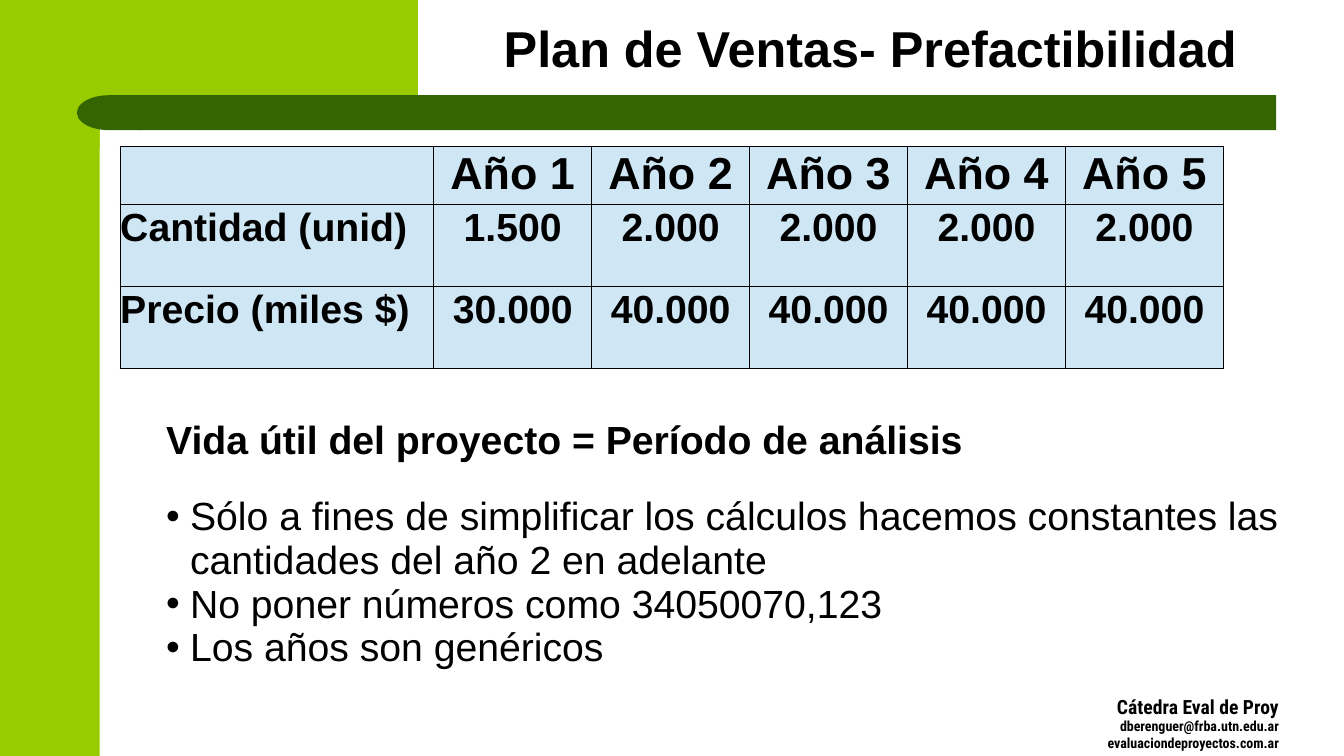
from dataclasses import dataclass
from math import cos, pi, sin

from lxml.etree import SubElement
from pptx import Presentation
from pptx.dml.color import RGBColor
from pptx.enum.shapes import MSO_SHAPE as SHAPE
from pptx.enum.text import MSO_ANCHOR as ANCHOR, PP_ALIGN as ALIGN
from pptx.oxml.ns import qn
from pptx.util import Cm, Pt

LIME = RGBColor(0x99, 0xCC, 0x00)
GREEN = RGBColor(0x33, 0x66, 0x00)
PALE_BLUE = RGBColor(0xCF, 0xE7, 0xF5)
BLACK = RGBColor(0x00, 0x00, 0x00)

SALES_PLAN = [
    ["", "Año 1", "Año 2", "Año 3", "Año 4", "Año 5"],
    ["Cantidad (unid)", "1.500", "2.000", "2.000", "2.000", "2.000"],
    ["Precio (miles $)", "30.000", "40.000", "40.000", "40.000", "40.000"],
]
COL_WIDTHS = [7.9] + [3.98] * 5
ROW_HEIGHTS = [1.46, 2.07, 2.07]


@dataclass
class Line:
    text: str
    size: float
    bold: bool = True
    font: str = "Arial"
    align: ALIGN = ALIGN.LEFT
    spacing: float = 1.0
    bullet: bool = False


@dataclass
class TextBlock:
    left: float
    top: float
    width: float
    height: float
    lines: list[Line]
    inset_top: float = 0.13
    anchor: ANCHOR = ANCHOR.TOP


@dataclass
class Block:
    kind: SHAPE
    left: float
    top: float
    width: float
    height: float
    color: RGBColor


def paint(sp, color: RGBColor) -> None:
    sp.shadow.inherit = False
    sp.fill.solid()
    sp.fill.fore_color.rgb = color
    sp.line.fill.background()


def add_block(slide, block: Block):
    sp = slide.shapes.add_shape(block.kind, Cm(block.left), Cm(block.top),
                                Cm(block.width), Cm(block.height))
    paint(sp, block.color)
    return sp


def add_corner(slide) -> None:
    """Draw the lime header block with its concave lower corner."""
    cx, cy, radius, steps = 3.47, 3.4, 0.96, 16
    angles = [pi / 2 * (1 + i / steps) for i in range(steps + 1)]
    arc = [(cx + radius * cos(a), cy - radius * sin(a)) for a in angles]
    points = [(10.53, 0), (10.53, 2.44), *arc, (2.51, 3.73), (1.5, 3.73)]
    builder = slide.shapes.build_freeform(Cm(1.5), 0)
    builder.add_line_segments([(Cm(x), Cm(y)) for x, y in points], close=True)
    paint(builder.convert_to_shape(), LIME)


def write(p, line: Line) -> None:
    p.alignment = line.align
    p.line_spacing = line.spacing
    if line.bullet:
        pPr = p._p.get_or_add_pPr()
        pPr.set("marL", str(Cm(0.6)))
        pPr.set("indent", str(-Cm(0.6)))
        color = SubElement(pPr, qn("a:buClr"))
        SubElement(color, qn("a:srgbClr")).set("val", str(BLACK))
        SubElement(pPr, qn("a:buFont")).set("typeface", "Arial")
        SubElement(pPr, qn("a:buChar")).set("char", "•")
    r = p.add_run()
    r.text = line.text
    r.font.name = line.font
    r.font.size = Pt(line.size)
    r.font.bold = line.bold
    r.font.color.rgb = BLACK


def add_text(slide, block: TextBlock) -> None:
    box = slide.shapes.add_textbox(Cm(block.left), Cm(block.top),
                                   Cm(block.width), Cm(block.height))
    tf = box.text_frame
    tf.word_wrap = True
    tf.vertical_anchor = block.anchor
    tf.margin_top = Cm(block.inset_top)
    for i, line in enumerate(block.lines):
        write(tf.add_paragraph() if i else tf.paragraphs[0], line)


def add_borders(cell) -> None:
    tcPr = cell._tc.get_or_add_tcPr()
    for side in ("a:lnL", "a:lnR", "a:lnT", "a:lnB"):
        ln = SubElement(tcPr, qn(side), w=str(Pt(1)))
        fill = SubElement(ln, qn("a:solidFill"))
        SubElement(fill, qn("a:srgbClr")).set("val", str(BLACK))


def add_sales_table(slide) -> None:
    frame = slide.shapes.add_table(len(ROW_HEIGHTS), len(COL_WIDTHS), Cm(3.03), Cm(3.69),
                                   Cm(sum(COL_WIDTHS)), Cm(sum(ROW_HEIGHTS)))
    table = frame.table
    table.first_row = table.horz_banding = False
    for column, width in zip(table.columns, COL_WIDTHS):
        column.width = Cm(width)
    for row, height in zip(table.rows, ROW_HEIGHTS):
        row.height = Cm(height)
    for i, values in enumerate(SALES_PLAN):
        for j, value in enumerate(values):
            cell = table.cell(i, j)
            add_borders(cell)
            cell.fill.solid()
            cell.fill.fore_color.rgb = PALE_BLUE
            cell.margin_left = cell.margin_right = cell.margin_bottom = 0
            cell.margin_top = Cm(0.05)
            if value:
                write(cell.text_frame.paragraphs[0],
                      Line(value, 28 if i else 32, align=ALIGN.CENTER if j else ALIGN.LEFT))


FOOTER = TextBlock(26.82, 17.37, 5.66, 1.83, [
    Line(text, size, font="Roboto Condensed", align=ALIGN.RIGHT)
    for text, size in [("Cátedra Eval de Proy", 14),
                       ("dberenguer@frba.utn.edu.ar", 10),
                       ("evaluaciondeproyectos.com.ar", 10)]
])
TITLE = TextBlock(7.26, -1.07, 29.36, 3.18, [
    Line("Plan de Ventas- Prefactibilidad", 36, align=ALIGN.CENTER, spacing=0.9),
], anchor=ANCHOR.BOTTOM)
LIFESPAN = TextBlock(3.94, 10.39, 22, 1.5, [
    Line("Vida útil del proyecto = Período de análisis", 28, spacing=0.93),
], inset_top=0.18)
NOTES = TextBlock(3.94, 12.34, 28.8, 4.7, [
    Line(text, 28, bold=False, spacing=0.93, bullet=True)
    for text in ["Sólo a fines de simplificar los cálculos hacemos constantes las "
                 "cantidades del año 2 en adelante",
                 "No poner números como 34050070,123",
                 "Los años son genéricos"]
], inset_top=0.15)


def main() -> None:
    prs = Presentation()
    prs.slide_width, prs.slide_height = Cm(33.87), Cm(19.05)
    slide = prs.slides.add_slide(prs.slide_layouts[6])

    add_block(slide, Block(SHAPE.RECTANGLE, 0, 0, 2.51, 19.05, LIME))
    add_corner(slide)
    bar = add_block(slide, Block(SHAPE.ROUNDED_RECTANGLE, 3.48, 2.4, 28.68, 0.88, GREEN))
    bar.adjustments[0] = 0
    cap = add_block(slide, Block(SHAPE.FLOWCHART_DELAY, 1.94, 2.4, 1.6, 0.88, GREEN))
    cap._element.spPr.get_or_add_xfrm().set("flipH", "1")

    add_text(slide, FOOTER)
    add_text(slide, TITLE)
    add_sales_table(slide)
    add_text(slide, LIFESPAN)
    add_text(slide, NOTES)
    prs.save("out.pptx")


if __name__ == "__main__":
    main()
